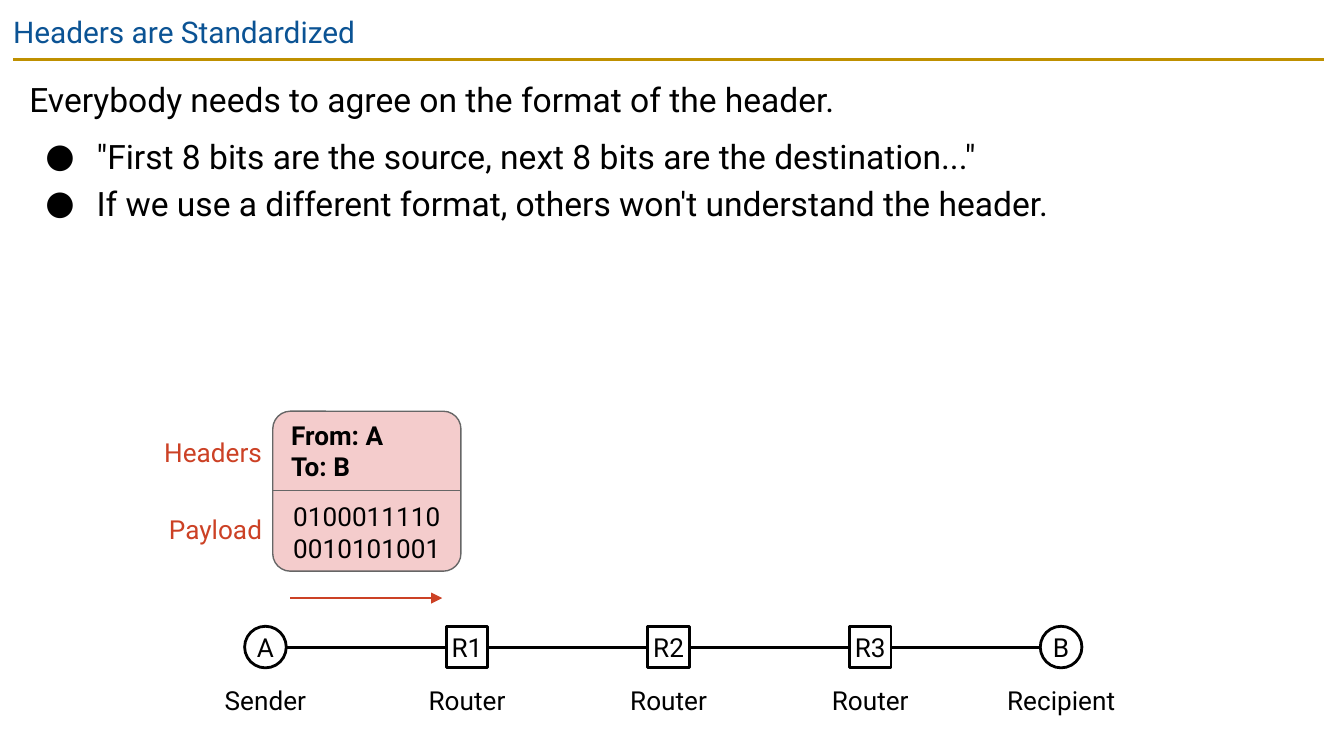
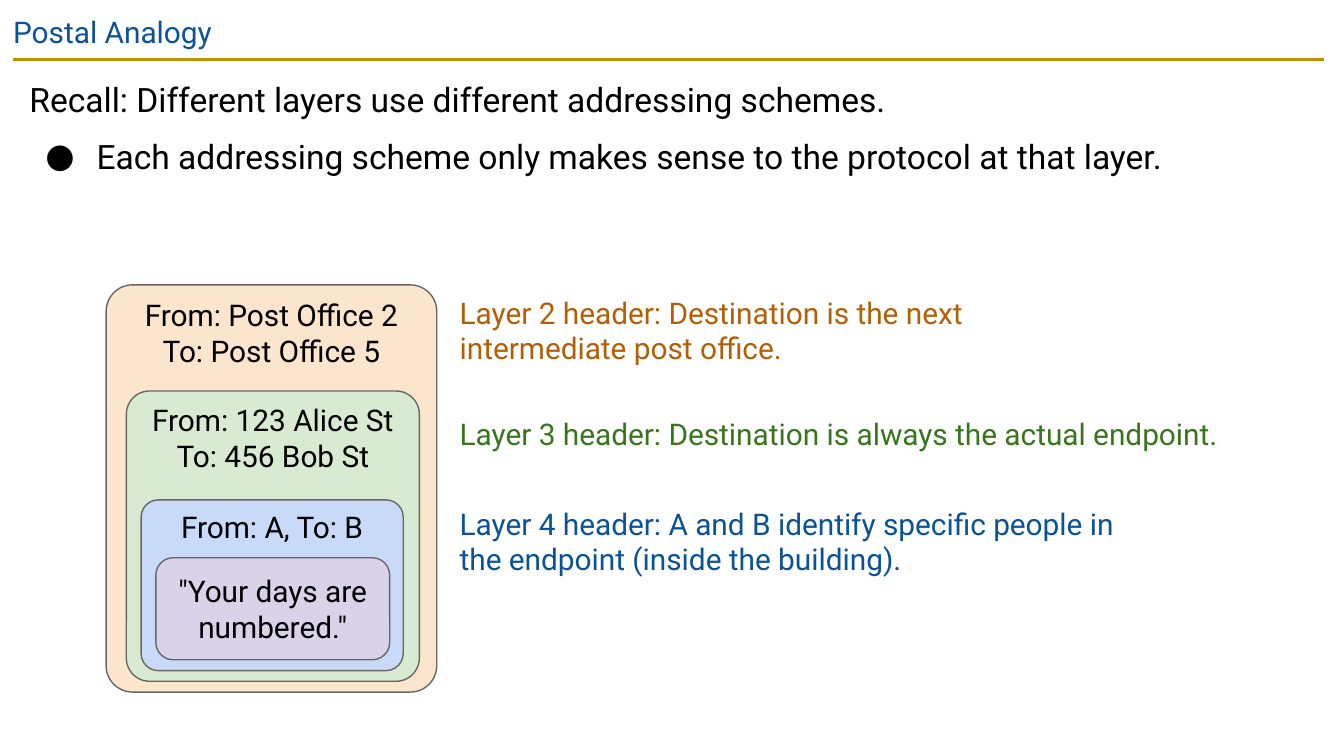
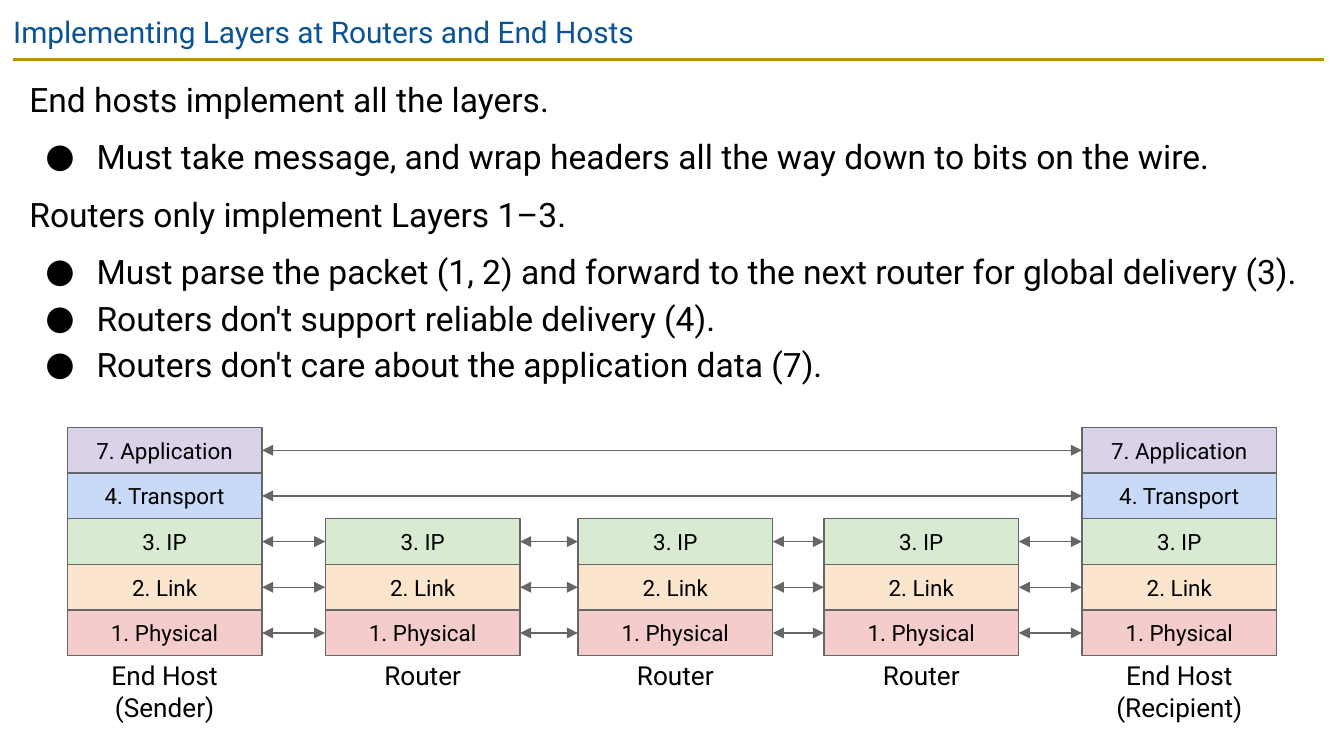
from dataclasses import dataclass
from itertools import pairwise

from lxml.etree import SubElement
from pptx import Presentation
from pptx.dml.color import RGBColor
from pptx.enum.shapes import MSO_CONNECTOR, MSO_SHAPE
from pptx.enum.text import MSO_ANCHOR, PP_ALIGN
from pptx.oxml.ns import qn
from pptx.util import Inches, Pt


@dataclass(frozen=True)
class Theme:
    font: str = "Roboto"
    black: str = "000000"
    white: str = "FFFFFF"
    gray: str = "666666"
    gold: str = "BF9000"
    blue: str = "0B5394"
    red: str = "CC4125"
    brown: str = "B45F06"
    green: str = "38761D"
    pale_red: str = "F4CCCC"
    pale_orange: str = "FCE5CD"
    pale_green: str = "D9EAD3"
    pale_blue: str = "C9DAF8"
    pale_purple: str = "D9D2E9"
    body_size: int = 18
    title_size: int = 16
    label_size: int = 14
    layer_size: int = 12
    thick: float = 1.5
    thin: float = 0.75


T = Theme()
LEFT, CENTER, RIGHT = PP_ALIGN.LEFT, PP_ALIGN.CENTER, PP_ALIGN.RIGHT
TOP, MIDDLE = MSO_ANCHOR.TOP, MSO_ANCHOR.MIDDLE


def add_text(s, text, x, y, w, h, *, preset=None, radius=None, fill=T.white,
             line=T.gray, weight=T.thin, size=T.label_size, color=T.black,
             align=LEFT, anchor=TOP, inset=0.03, spacing=1.0):
    """Add a text box or preset shape; lines starting with "● " become bullets."""
    box = [Inches(v) for v in (x, y, w, h)]
    if preset is None:
        sp = s.shapes.add_textbox(*box)
    else:
        sp = s.shapes.add_shape(preset, *box)
        sp.shadow.inherit = False
        sp.fill.solid()
        sp.fill.fore_color.rgb = RGBColor.from_string(fill)
        sp.line.color.rgb = RGBColor.from_string(line)
        sp.line.width = Pt(weight)
        if radius is not None:
            sp.adjustments[0] = radius
    tf = sp.text_frame
    tf.word_wrap = True
    tf.vertical_anchor = anchor
    tf.margin_left = tf.margin_right = tf.margin_top = tf.margin_bottom = Inches(inset)
    after_bullet = False
    for i, content in enumerate(text.split("\n")):
        p = tf.paragraphs[0] if i == 0 else tf.add_paragraph()
        bullet = content.startswith("● ")
        if bullet:
            pPr = p._p.get_or_add_pPr()
            pPr.set("marL", str(Inches(0.5)))
            pPr.set("indent", str(Inches(-0.38)))
            SubElement(SubElement(pPr, qn("a:buClr")), qn("a:srgbClr"), val=color)
            SubElement(pPr, qn("a:buFont"), typeface=T.font)
            SubElement(pPr, qn("a:buChar"), char="●")
        p.alignment = align
        p.line_spacing = spacing
        if spacing > 1 and i > 0 and not (bullet and after_bullet):
            p.space_before = Pt(6)
        after_bullet = bullet
        r = p.add_run()
        r.text = content.removeprefix("● ")
        r.font.name = T.font
        r.font.size = Pt(size)
        r.font.color.rgb = RGBColor.from_string(color)
    return sp


def add_line(s, x1, y1, x2, y2, *, color=T.gray, weight=T.thin, arrows=()):
    """Add a straight line; arrows names its ends, headEnd before tailEnd."""
    cx = s.shapes.add_connector(MSO_CONNECTOR.STRAIGHT, *[Inches(v) for v in (x1, y1, x2, y2)])
    cx.line.color.rgb = RGBColor.from_string(color)
    cx.line.width = Pt(weight)
    ln = cx.line._get_or_add_ln()
    for end in arrows:
        SubElement(ln, qn(f"a:{end}"), type="triangle")
    SubElement(cx._element.spPr, qn("a:effectLst"))


# Widescreen 16:9 deck
prs = Presentation()
prs.slide_width = Inches(10)
prs.slide_height = Inches(10 * 9 / 16)

# Shared title, rule and body of every slide
pages = [
    ("Headers are Standardized", 1.62,
     "Everybody needs to agree on the format of the header.\n"
     "● \"First 8 bits are the source, next 8 bits are the destination...\"\n"
     "● If we use a different format, others won't understand the header."),
    ("Postal Analogy", 1.25,
     "Recall: Different layers use different addressing schemes.\n"
     "● Each addressing scheme only makes sense to the protocol at that layer."),
    ("Implementing Layers at Routers and End Hosts", 2.56,
     "End hosts implement all the layers.\n"
     "● Must take message, and wrap headers all the way down to bits on the wire.\n"
     "Routers only implement Layers 1–3.\n"
     "● Must parse the packet (1, 2) and forward to the next router for global delivery (3).\n"
     "● Routers don't support reliable delivery (4).\n"
     "● Routers don't care about the application data (7)."),
]
slides = []
for title, body_h, body in pages:
    s = prs.slides.add_slide(prs.slide_layouts[6])
    add_line(s, 0.1, 0.44, 9.85, 0.44, color=T.gold, weight=T.thick)
    add_text(s, title, 0, 0, 10, 0.43, size=T.title_size, color=T.blue, inset=0.1)
    add_text(s, body, 0.12, 0.44, 9.74, body_h, size=T.body_size, inset=0.1, spacing=1.15)
    slides.append(s)
header_slide, postal_slide, layers_slide = slides

# Slide 1: network path from sender to recipient
s = header_slide
node = 0.31
nodes = [
    ("A", "Sender", 1.82, MSO_SHAPE.OVAL, 0.7),
    ("R1", "Router", 3.32, MSO_SHAPE.RECTANGLE, 0.7),
    ("R2", "Router", 4.82, MSO_SHAPE.RECTANGLE, 0.7),
    ("R3", "Router", 6.32, MSO_SHAPE.RECTANGLE, 0.7),
    ("B", "Recipient", 7.74, MSO_SHAPE.OVAL, 0.95),
]
for name, role, x, preset, label_w in nodes:
    add_text(s, name, x, 4.66, node, node, preset=preset, line=T.black,
             weight=T.thick, align=CENTER, anchor=MIDDLE, inset=0)
    add_text(s, role, x + (node - label_w) / 2, 5.03, label_w, 0.3,
             align=CENTER, spacing=1.15)
for a, b in pairwise(nodes):
    add_line(s, a[2] + node, 4.82, b[2], 4.82, color=T.black, weight=T.thick)

# Slide 1: packet with header and payload
sp = add_text(s, "From: A\nTo: B\n01000111100010101001", 2.03, 3.06, 1.4, 1.19,
              preset=MSO_SHAPE.ROUNDED_RECTANGLE, radius=0.11, fill=T.pale_red,
              anchor=MIDDLE, inset=0.1)
*headers, payload = sp.text_frame.paragraphs
for p in headers:
    p.runs[0].font.bold = True
payload.alignment = CENTER
payload.space_before = Pt(10)
add_line(s, 2.16, 4.45, 3.29, 4.45, color=T.red, weight=T.thick, arrows=["tailEnd"])
add_line(s, 2.03, 3.65, 3.43, 3.65)
for part, y in [("Headers", 3.22), ("Payload", 3.79)]:
    add_text(s, part, 1.16, y, 0.82, 0.3, color=T.red, align=RIGHT)

# Slide 2: nested envelopes, outermost first
s = postal_slide
envelopes = [
    ("From: Post Office 2\nTo: Post Office 5", 0.79, 2.12, 2.46, 3.03, 0.08, T.pale_orange),
    ("From: 123 Alice St\nTo: 456 Bob St", 0.94, 2.91, 2.18, 2.16, 0.08, T.pale_green),
    ("From: A, To: B", 1.05, 3.72, 1.95, 1.27, 0.1, T.pale_blue),
]
for text, x, y, w, h, radius, fill in envelopes:
    add_text(s, text, x, y, w, h, preset=MSO_SHAPE.ROUNDED_RECTANGLE, radius=radius,
             fill=fill, size=T.title_size, align=CENTER)
add_text(s, "\"Your days are numbered.\"", 1.16, 4.15, 1.74, 0.76,
         preset=MSO_SHAPE.ROUNDED_RECTANGLE, radius=0.17, fill=T.pale_purple,
         size=T.title_size, align=CENTER, anchor=MIDDLE, inset=0)

# Slide 2: explanation of each header
notes = [
    ("Layer 2 header: Destination is the next intermediate post office.",
     2.16, 3.95, 0.6, T.brown),
    ("Layer 3 header: Destination is always the actual endpoint.",
     3.06, 5.81, 0.33, T.green),
    ("Layer 4 header: A and B identify specific people in the endpoint (inside the building).",
     3.73, 5.22, 0.6, T.blue),
]
for text, y, w, h, color in notes:
    add_text(s, text, 3.39, y, w, h, size=T.title_size, color=color)

# Slide 3: layer stacks; routers lack the top two layers
s = layers_slide
layers = [
    ("7. Application", T.pale_purple),
    ("4. Transport", T.pale_blue),
    ("3. IP", T.pale_green),
    ("2. Link", T.pale_orange),
    ("1. Physical", T.pale_red),
]
stacks = [
    ("End Host (Sender)", 0.5, 0),
    ("Router", 2.42, 2),
    ("Router", 4.3, 2),
    ("Router", 6.13, 2),
    ("End Host (Recipient)", 8.05, 0),
]
stack_y, stack_w, layer_h = 3.18, 1.45, 0.34
for i, (layer, fill) in enumerate(layers):
    y = stack_y + i * layer_h
    xs = [x for _, x, first in stacks if i >= first]
    for x in xs:
        add_text(s, layer, x, y, stack_w, layer_h, preset=MSO_SHAPE.RECTANGLE, fill=fill,
                 size=T.layer_size, align=CENTER, anchor=MIDDLE, inset=0.1)
    for a, b in pairwise(xs):
        add_line(s, a + stack_w, y + layer_h / 2, b, y + layer_h / 2,
                 arrows=["headEnd", "tailEnd"])
for caption, x, first in stacks:
    add_text(s, caption, x, stack_y + len(layers) * layer_h, stack_w,
             0.3 if first else 0.53, align=CENTER)

prs.save("out.pptx")
